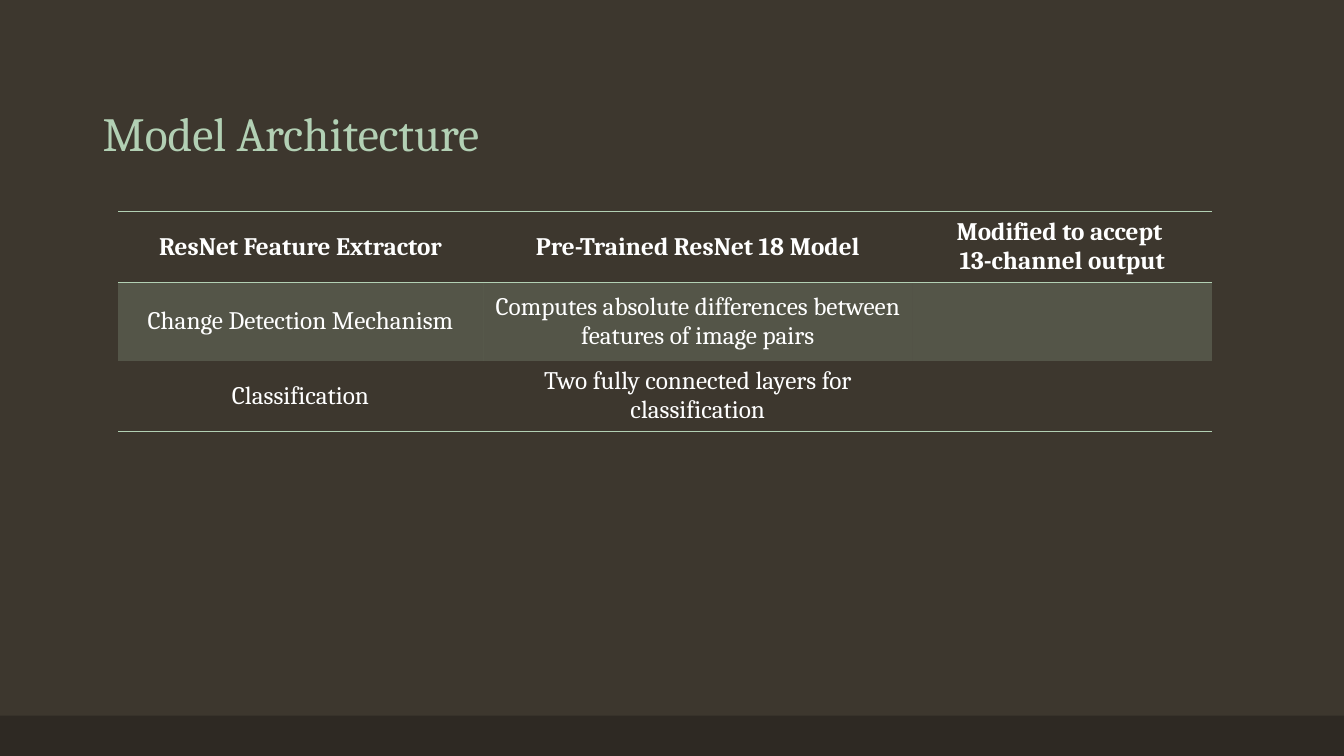
"""Build the Model Architecture slide; all lengths are percentages of the slide size."""
from dataclasses import dataclass

from lxml.etree import SubElement
from pptx import Presentation
from pptx.dml.color import RGBColor as Rgb
from pptx.enum.shapes import MSO_SHAPE as Preset
from pptx.enum.text import MSO_ANCHOR as Anchor, PP_ALIGN as Align
from pptx.oxml.ns import qn
from pptx.slide import Slide
from pptx.table import _Cell as Cell
from pptx.text.text import _Paragraph as Paragraph
from pptx.util import Inches, Length, Pt


@dataclass(frozen=True)
class Theme:
    font: str = "Cambria"
    background: str = "3D372E"
    footer: str = "2E2923"
    accent: str = "B2D0B4"
    body: str = "FFFFFF"
    title_size: int = 34
    body_size: int = 18
    rule_width: int = 1
    band_opacity: int = 20


@dataclass(frozen=True)
class Box:
    left: float
    top: float
    width: float
    height: float

    def frame(self) -> tuple[Length, Length, Length, Length]:
        return across(self.left), down(self.top), across(self.width), down(self.height)


@dataclass(frozen=True)
class Stage:
    texts: tuple[str, ...]
    height: float
    bold: bool = False
    banded: bool = False
    ruled: tuple[str, ...] = ()


THEME = Theme()
SLIDE_WIDTH, SLIDE_HEIGHT = Inches(13.33), Inches(7.5)
NO_STYLE = "{2D5ABB26-0587-4C30-8999-92F81FD0307C}"
FOOTER = Box(0, 94.67, 100, 5.33)
HEADING = Box(6.9, 5.33, 86.27, 16.67)
TABLE_LEFT, TABLE_TOP = 8.78, 28
COLUMNS = (27.16, 31.96, 22.28)
STAGES = (
    Stage(("ResNet Feature Extractor", "Pre-Trained ResNet 18 Model",
           "Modified to accept \n13-channel output"), 9, bold=True, ruled=("lnT", "lnB")),
    Stage(("Change Detection Mechanism",
           "Computes absolute differences between features of image pairs", ""),
          10.4, banded=True),
    Stage(("Classification", "Two fully connected layers for classification", ""),
          9, ruled=("lnB",)),
)


def across(percent: float) -> Length:
    return Length(SLIDE_WIDTH * percent / 100)


def down(percent: float) -> Length:
    return Length(SLIDE_HEIGHT * percent / 100)


def style(paragraph: Paragraph, size: int, color: str, bold: bool = False) -> None:
    font = paragraph.font
    font.name, font.size, font.bold = THEME.font, Pt(size), bold
    font.color.rgb = Rgb.from_string(color)


def draw_footer(slide: Slide) -> None:
    footer = slide.shapes.add_shape(Preset.RECTANGLE, *FOOTER.frame())
    footer.shadow.inherit = False
    footer.fill.solid()
    footer.fill.fore_color.rgb = Rgb.from_string(THEME.footer)
    footer.line.fill.background()


def draw_heading(slide: Slide, text: str) -> None:
    heading = slide.shapes.add_textbox(*HEADING.frame()).text_frame
    heading.word_wrap = True
    heading.vertical_anchor = Anchor.BOTTOM
    heading.text = text
    heading.paragraphs[0].line_spacing = 0.9
    style(heading.paragraphs[0], THEME.title_size, THEME.accent)


def rule_cell(cell: Cell, edge: str) -> None:
    line = SubElement(cell._tc.get_or_add_tcPr(), qn(f"a:{edge}"), w=str(Pt(THEME.rule_width)))
    SubElement(SubElement(line, qn("a:solidFill")), qn("a:srgbClr"), val=THEME.accent)


def fill_cell(cell: Cell, banded: bool) -> None:
    if not banded:
        cell.fill.background()
        return
    cell.fill.solid()
    cell.fill.fore_color.rgb = Rgb.from_string(THEME.accent)
    tint = cell._tc.tcPr.find(f".//{qn('a:solidFill')}/{qn('a:srgbClr')}")
    SubElement(tint, qn("a:alpha"), val=str(THEME.band_opacity * 1000))


def draw_cell(cell: Cell, text: str, stage: Stage) -> None:
    cell.text = text
    cell.vertical_anchor = Anchor.MIDDLE
    for paragraph in cell.text_frame.paragraphs:
        paragraph.alignment = Align.CENTER
        style(paragraph, THEME.body_size, THEME.body, stage.bold)
    for edge in stage.ruled:
        rule_cell(cell, edge)
    fill_cell(cell, stage.banded)


def draw_architecture(slide: Slide) -> None:
    area = Box(TABLE_LEFT, TABLE_TOP, sum(COLUMNS), sum(stage.height for stage in STAGES))
    architecture = slide.shapes.add_table(len(STAGES), len(COLUMNS), *area.frame()).table
    architecture._tbl.tblPr.find(qn("a:tableStyleId")).text = NO_STYLE
    architecture.horz_banding = False
    for column, width in zip(architecture.columns, COLUMNS):
        column.width = across(width)
    for row, stage in zip(architecture.rows, STAGES):
        row.height = down(stage.height)
        for cell, text in zip(row.cells, stage.texts):
            draw_cell(cell, text, stage)


def main() -> None:
    deck = Presentation()
    deck.slide_width, deck.slide_height = SLIDE_WIDTH, SLIDE_HEIGHT
    slide = deck.slides.add_slide(deck.slide_layouts[6])
    slide.background.fill.solid()
    slide.background.fill.fore_color.rgb = Rgb.from_string(THEME.background)
    draw_footer(slide)
    draw_heading(slide, "Model Architecture")
    draw_architecture(slide)
    deck.save("out.pptx")


if __name__ == "__main__":
    main()
